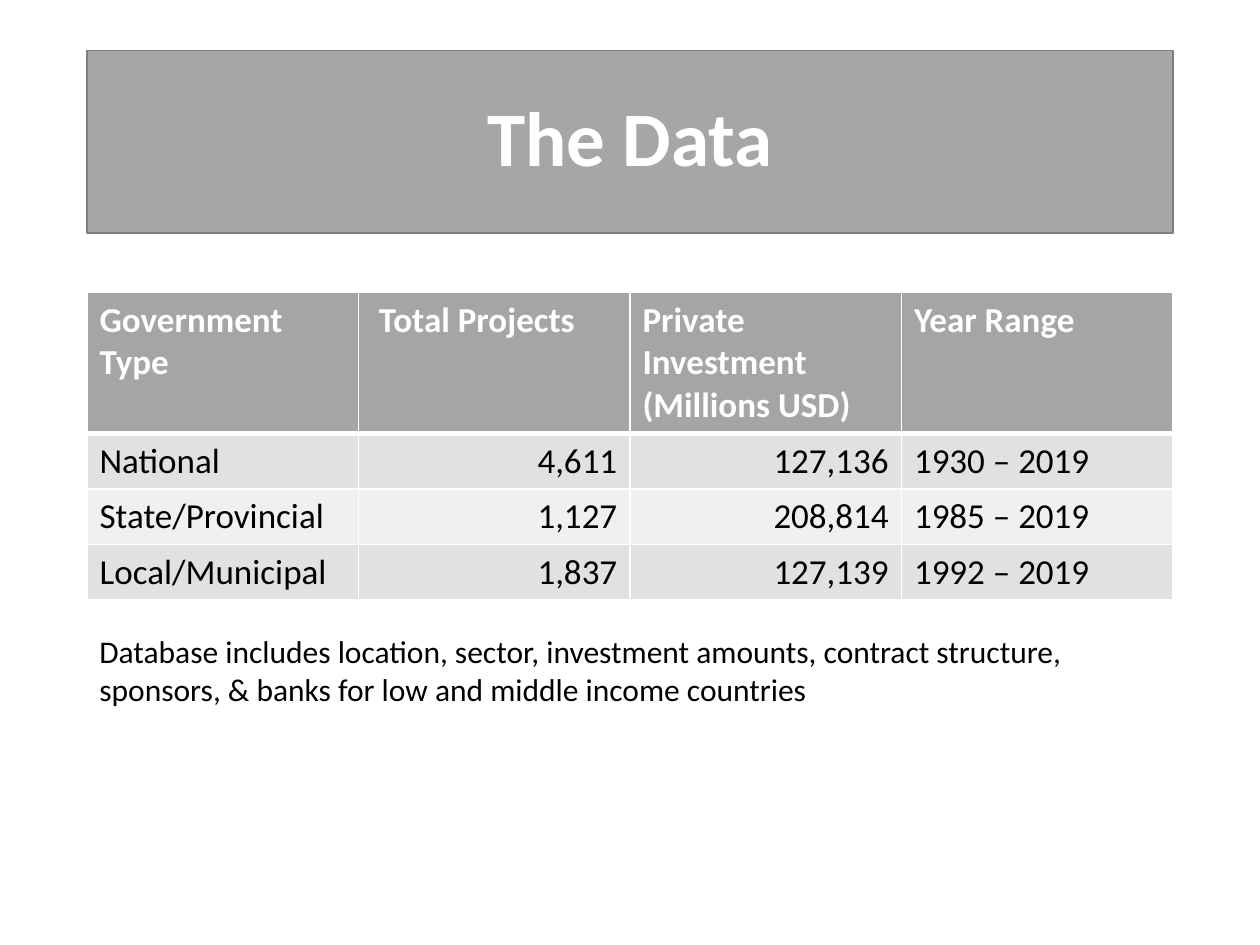
from lxml.etree import SubElement
from pptx import Presentation
from pptx.dml.color import RGBColor
from pptx.enum.text import MSO_ANCHOR, PP_ALIGN
from pptx.oxml.ns import qn
from pptx.util import Inches, Pt

# Content
TITLE = "The Data"
HEADER = ["Government Type", " Total Projects",
          "Private Investment (Millions USD)", "Year Range"]
ROWS = [
    ["National", "4,611", "127,136", "1930 – 2019"],
    ["State/Provincial", "1,127", "208,814", "1985 – 2019"],
    ["Local/Municipal", "1,837", "127,139", "1992 – 2019"],
]
NUMBER_COLUMNS = (1, 2)
NOTE = ("Database includes location, sector, investment amounts, contract "
        "structure, sponsors, & banks for low and middle income countries")

# Style
FONT = "Calibri"
WHITE = RGBColor(0xFF, 0xFF, 0xFF)
BLACK = RGBColor(0x00, 0x00, 0x00)
TITLE_FILL = RGBColor(0xA6, 0xA6, 0xA6)
TITLE_LINE = RGBColor(0x80, 0x80, 0x80)
HEADER_FILL = RGBColor(0xA5, 0xA5, 0xA5)
BAND_FILLS = (RGBColor(0xE1, 0xE1, 0xE1), RGBColor(0xF0, 0xF0, 0xF0))

LEFT, WIDTH = 0.69, 8.62
HEADER_HEIGHT, ROW_HEIGHT = 1.12, 0.44


def style(p, size, color, bold=False, align=PP_ALIGN.LEFT):
    p.alignment = align
    p.font.name = FONT
    p.font.size = Pt(size)
    p.font.bold = bold
    p.font.color.rgb = color


def set_borders(cell, top, bottom):
    tcPr = cell._tc.get_or_add_tcPr()
    sides = {"a:lnL": 1, "a:lnR": 1, "a:lnT": top, "a:lnB": bottom}
    for i, (tag, width) in enumerate(sides.items()):
        ln = SubElement(tcPr, qn(tag), w=str(Pt(width)))
        fill = SubElement(ln, qn("a:solidFill"))
        SubElement(fill, qn("a:srgbClr"), val=str(WHITE))
        tcPr.insert(i, ln)  # borders come before the cell fill


prs = Presentation()
prs.slide_width, prs.slide_height = Inches(10), Inches(7.5)
s = prs.slides.add_slide(prs.slide_layouts[5])

# Title banner
title = s.shapes.title
title.left, title.top = Inches(LEFT), Inches(0.4)
title.width, title.height = Inches(WIDTH), Inches(1.45)
title.fill.solid()
title.fill.fore_color.rgb = TITLE_FILL
title.line.color.rgb = TITLE_LINE
title.line.width = Pt(0.75)
tf = title.text_frame
tf.text = TITLE
tf.vertical_anchor = MSO_ANCHOR.MIDDLE
tf.paragraphs[0].line_spacing = 0.9
style(tf.paragraphs[0], 44, WHITE, True, PP_ALIGN.CENTER)

# Projects table
table = s.shapes.add_table(
    len(ROWS) + 1, len(HEADER), Inches(LEFT), Inches(2.32), Inches(WIDTH),
    Inches(HEADER_HEIGHT + ROW_HEIGHT * len(ROWS))).table
for column in table.columns:
    column.width = Inches(WIDTH / len(HEADER))
for r, values in enumerate([HEADER] + ROWS):
    is_header = r == 0
    table.rows[r].height = Inches(HEADER_HEIGHT if is_header else ROW_HEIGHT)
    for c, value in enumerate(values):
        cell = table.cell(r, c)
        cell.text = value
        cell.fill.solid()
        cell.fill.fore_color.rgb = HEADER_FILL if is_header else BAND_FILLS[(r - 1) % 2]
        right = c in NUMBER_COLUMNS and not is_header
        style(cell.text_frame.paragraphs[0], 20, WHITE if is_header else BLACK,
              is_header, PP_ALIGN.RIGHT if right else PP_ALIGN.LEFT)
        set_borders(cell, top=3 if r == 1 else 1, bottom=3 if is_header else 1)

# Note below the table
note = s.shapes.add_textbox(Inches(LEFT), Inches(4.97), Inches(WIDTH), Inches(0.71))
note.text_frame.word_wrap = True
note.text_frame.text = NOTE
style(note.text_frame.paragraphs[0], 18, BLACK)

prs.save("out.pptx")
